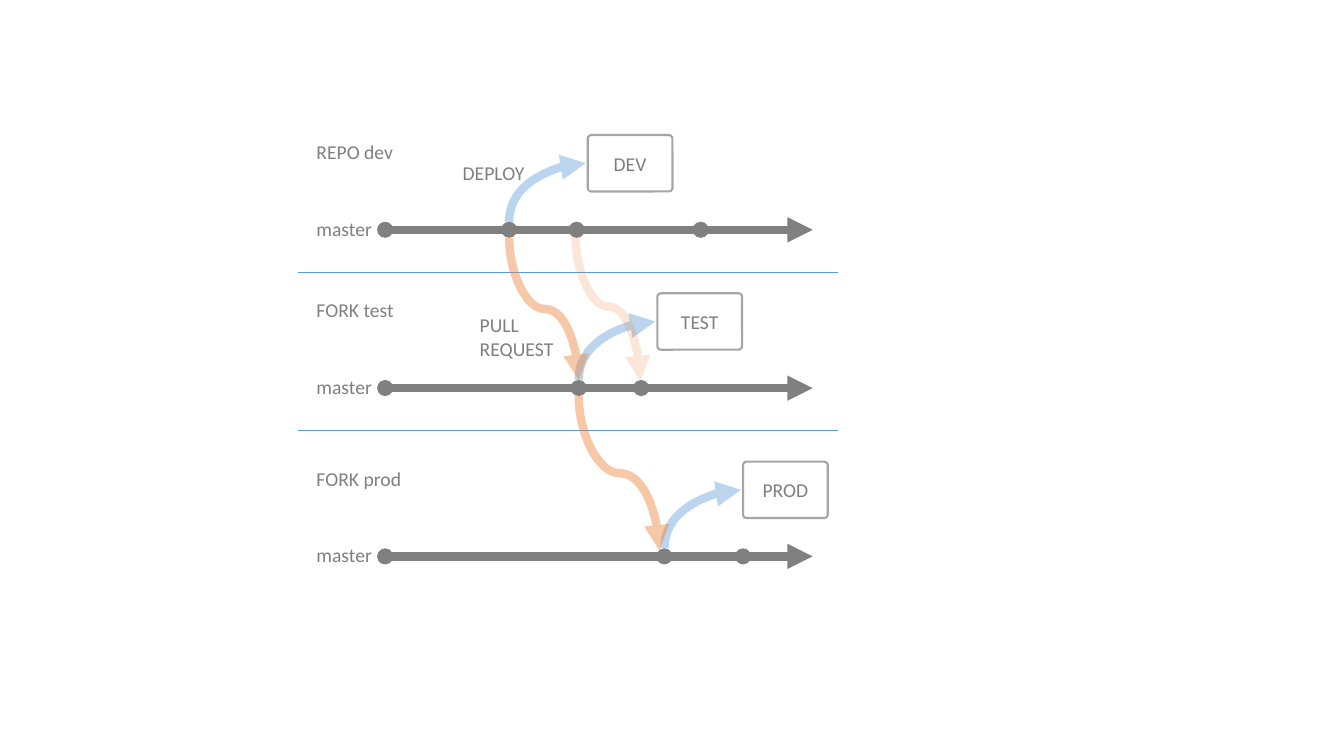
"""Build a slide of the dev, test and prod branches with their deployments and pull requests."""
from pptx import Presentation
from pptx.dml.color import RGBColor
from pptx.enum import shapes, text
from pptx.oxml import ns
from pptx.util import Inches, Pt
from lxml import etree

COLORS = {"gray": "808080", "border": "A5A5A5", "blue": "5B9BD5",
          "orange": "ED7D31", "white": "FFFFFF"}
FONT, SIZE = "Calibri", 14
DOT, BOX_W, BOX_H = 0.16, 0.84, 0.56

LANES = [
    {"name": "REPO dev", "width": 0.97, "target": "DEV", "y": 2.28,
     "deploy": 5.05, "commits": [5.05, 5.72, 6.95]},
    {"name": "FORK test", "width": 0.98, "target": "TEST", "y": 3.85,
     "deploy": 5.74, "commits": [5.74, 6.36]},
    {"name": "FORK prod", "width": 1.05, "target": "PROD", "y": 5.52,
     "deploy": 6.59, "commits": [6.59, 7.37]},
]
PULL_REQUESTS = [
    ((5.05, 2.36), (5.74, 3.77), 41, 50000),
    ((5.74, 3.93), (6.54, 5.46), 41, 50000),
    ((5.71, 2.35), (6.35, 3.78), 18, 48400),
]
NOTES = [
    (["PULL", "REQUEST"], 4.66, 3.06, 0.94, 0.57),
    (["DEPLOY"], 4.49, 1.55, 0.82, 0.34),
]


def rgb(name):
    return RGBColor.from_string(COLORS[name])


def write(para, words):
    span = para.add_run()
    span.text = words
    span.font.name, span.font.size = FONT, Pt(SIZE)
    span.font.color.rgb = rgb("gray")


def add_label(page, lines, left, top, width, height=0.34):
    label = page.shapes.add_textbox(*map(Inches, (left, top, width, height)))
    frame = label.text_frame
    frame.word_wrap = False
    frame.auto_size = text.MSO_AUTO_SIZE.SHAPE_TO_FIT_TEXT
    for index, words in enumerate(lines):
        write(frame.add_paragraph() if index else frame.paragraphs[0], words)


def add_line(page, start, end, color, width, arrow=False, kind="STRAIGHT"):
    line = page.shapes.add_connector(shapes.MSO_CONNECTOR[kind],
                                     *map(Inches, (*start, *end)))
    line.line.color.rgb = rgb(color)
    line.line.width = Pt(width)
    if arrow:
        outline = line.line._get_or_add_ln()
        etree.SubElement(outline, ns.qn("a:tailEnd"), type="triangle")
    etree.SubElement(line._element.spPr, ns.qn("a:effectLst"))
    return line


def add_curve(page, start, end, color, opacity, preset, turn, flips, adjust=None):
    (x1, y1), (x2, y2) = start, end
    across, down = abs(x2 - x1), abs(y2 - y1)
    left, top = (x1 + x2 - down) / 2, (y1 + y2 - across) / 2
    curve = add_line(page, (left, top), (left + down, top + across),
                     color, 6, True, "CURVE")
    properties = curve._element.spPr
    frame = properties.find(ns.qn("a:xfrm"))
    frame.set("rot", str(turn * 60000))
    for flip in flips:
        frame.set(flip, "1")
    geometry = properties.find(ns.qn("a:prstGeom"))
    geometry.set("prst", preset)
    if adjust is not None:
        guides = geometry.find(ns.qn("a:avLst"))
        etree.SubElement(guides, ns.qn("a:gd"), name="adj1", fmla=f"val {adjust}")
    shade = next(properties.iter(ns.qn("a:srgbClr")))
    etree.SubElement(shade, ns.qn("a:alpha"), val=str(opacity * 1000))


def add_shape(page, preset, place, fill):
    shape = page.shapes.add_shape(preset, *map(Inches, place))
    shape.shadow.inherit = False
    shape.fill.solid()
    shape.fill.fore_color.rgb = rgb(fill)
    shape.line.fill.background()
    return shape


def add_dot(page, x, y):
    add_shape(page, shapes.MSO_SHAPE.OVAL, (x - DOT / 2, y - DOT / 2, DOT, DOT), "gray")


def add_target(page, name, left, top):
    box = add_shape(page, shapes.MSO_SHAPE.ROUNDED_RECTANGLE,
                    (left, top, BOX_W, BOX_H), "white")
    box.adjustments[0] = 0.062
    box.line.color.rgb = rgb("border")
    box.line.width = Pt(1.5)
    box.text_frame.vertical_anchor = text.MSO_ANCHOR.MIDDLE
    para = box.text_frame.paragraphs[0]
    para.alignment = text.PP_ALIGN.CENTER
    write(para, name)


def add_lane(page, lane):
    y, deploy = lane["y"], lane["deploy"]
    top, box_left = y - 0.94, deploy + 0.78
    add_line(page, (3.79, y), (8.06, y), "gray", 6, True)
    for x in [*lane["commits"], 3.82]:
        add_dot(page, x, y)
    add_label(page, ["master"], 3.04, y - 0.18, 0.76)
    add_label(page, [lane["name"]], 3.04, top, lane["width"])
    add_curve(page, (deploy, y - DOT / 2), (box_left - 0.02, top + BOX_H / 2),
              "blue", 41, "curvedConnector2", 90, ("flipH", "flipV"))
    add_target(page, lane["target"], box_left, top)


def main():
    deck = Presentation()
    deck.slide_width, deck.slide_height = Inches(13.33), Inches(7.5)
    page = deck.slides.add_slide(deck.slide_layouts[6])
    for lane in LANES:
        add_lane(page, lane)
    for lane in LANES[:-1]:
        divider = lane["y"] + 0.42
        add_line(page, (2.96, divider), (8.31, divider), "blue", 0.5)
    for start, end, opacity, adjust in PULL_REQUESTS:
        add_curve(page, start, end, "orange", opacity,
                  "curvedConnector3", 270, ("flipH",), adjust)
    for note in NOTES:
        add_label(page, *note)
    deck.save("out.pptx")


if __name__ == "__main__":
    main()
